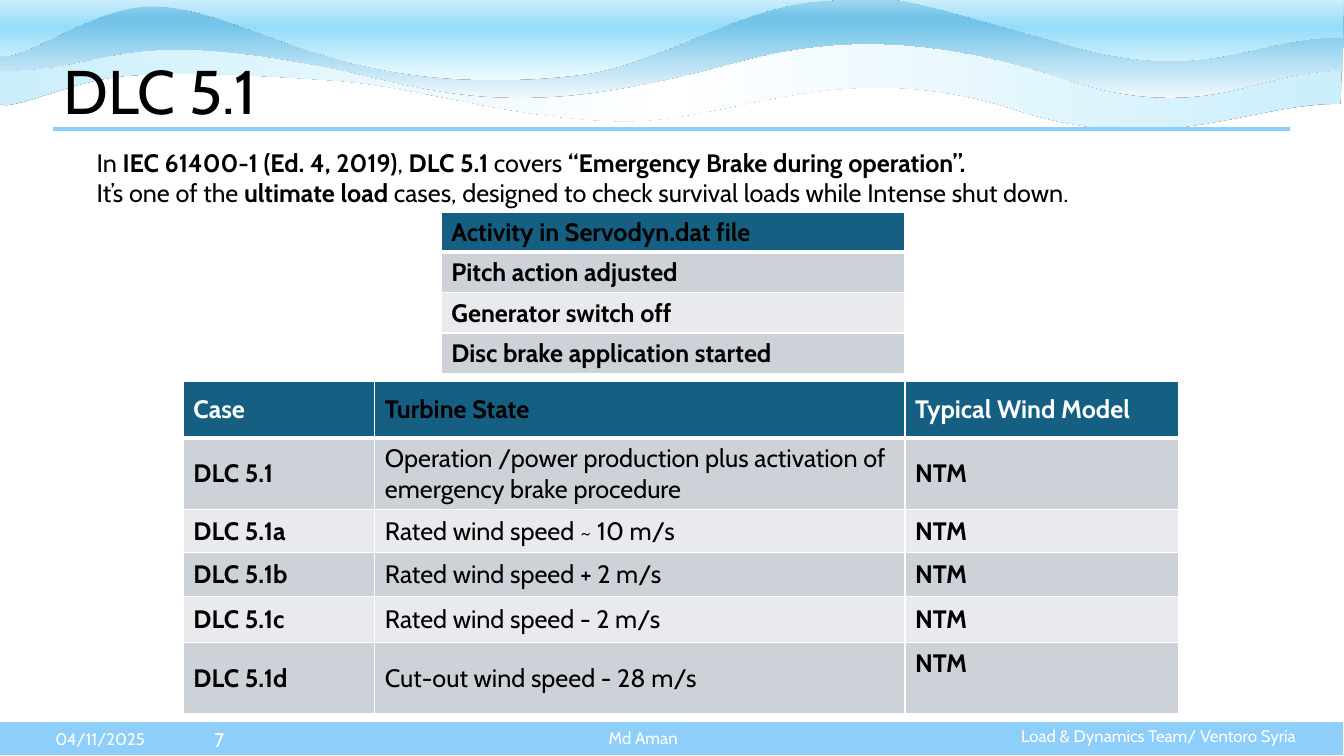
"""Build the DLC 5.1 emergency brake slide."""
from lxml.etree import SubElement
from pptx import Presentation
from pptx.dml.color import RGBColor
from pptx.enum.shapes import MSO_CONNECTOR as Connector, MSO_SHAPE as Preset
from pptx.enum.text import MSO_ANCHOR as Anchor, PP_ALIGN as Align
from pptx.oxml.ns import qn
from pptx.util import Pt

THEME = {
    "font": "Cabin", "black": "000000", "white": "FFFFFF", "sky": "8ECEFA",
    "header": "156082", "bands": ("CCD2D8", "E8EAED"),
    "title": 44, "body": 18, "number": 14, "footer": 12,
}
TITLE = "DLC 5.1"
INTRO = [
    [("In ", False), ("IEC 61400-1 (Ed. 4, 2019)", True), (", ", False), ("DLC 5.1", True),
     (" covers ", False), ("“Emergency Brake during operation”.", True)],
    [("It’s one of the ", False), ("ultimate load", True),
     (" cases, designed to check survival loads while Intense shut down.", False)],
]
CASES = [
    ("Case", "Turbine State", "Typical Wind Model"),
    ("DLC 5.1", "Operation /power production plus activation of emergency brake procedure", "NTM"),
    ("DLC 5.1a", "Rated wind speed ~ 10 m/s", "NTM"),
    ("DLC 5.1b", "Rated wind speed + 2 m/s", "NTM"),
    ("DLC 5.1c", "Rated wind speed - 2 m/s", "NTM"),
    ("DLC 5.1d", "Cut-out wind speed - 28 m/s", "NTM"),
]
ACTIVITIES = [("Activity in Servodyn.dat file",), ("Pitch action adjusted",),
              ("Generator switch off",), ("Disc brake application started",)]
FOOTER = [
    ("04/11/2025", (32.4, 517, 79, 22), "footer", Align.LEFT),
    ("7", (144.7, 516, 22.5, 24), "number", Align.RIGHT),
    ("Load & Dynamics Team/ Ventoro Syria", (722.3, 515, 220, 22), "footer", Align.LEFT),
    ("Md Aman", (427.7, 516, 106, 22), "footer", Align.LEFT),
]
WAVES = [
    {"box": (-2.9, 21.6, 961.9, 70.6), "start": (957.6, 74.2), "angle": 0,
     "curves": [(890.6, 73.4, 829.4, 114.5, 719.3, 76.3), (595.4, 38.9, 519.1, 89.3, 439.2, 86.4),
                (359.3, 83.5, 303.1, 62.6, 241.2, 57.6), (179.3, 53.3, 131.8, 51.1, 91.4, 54),
                (51.1, 56.9, 10.1, 79.9, -1.4, 74.2), (-1.4, 57.6, -2.9, 38.2, -2.9, 21.6)],
     "corners": [(225.4, 22.3), (469.4, 24.5), (677.5, 23), (959, 24.5)],
     "stops": [(0, "CAEEFB"), (50, "FFFFFF"), (100, "CAEEFB")]},
    {"box": (0, -0.7, 960, 70.6), "start": (959, 50.4), "angle": 90,
     "curves": [(892.1, 50.4, 861.1, 92.2, 751.7, 53.3), (627.1, 14.4, 556.6, 36, 508.3, 49),
                (380.2, 82.1, 330.5, 70.6, 249.1, 51.1), (81.4, 15.8, 82.8, 50.4, 0, 50.4),
                (0, 33.8, 0.7, 17.3, 0.7, 0)],
     "corners": [(225.4, 0.7), (470.9, -0.7), (681.1, 0), (959.8, 2.9)],
     "stops": [(0, "F0F8FD"), (74, "74C4E9"), (83, "74C4E9"), (100, "A2D8F0")]},
    {"box": (-2.2, -18.7, 961.9, 76.3), "start": (959, 26.6), "angle": 90,
     "curves": [(892.1, 25.9, 861.1, 63.4, 751.7, 28.8), (627.8, -5.8, 641.5, -3.6, 585.4, 0.7),
                (529.2, 4.3, 470.2, 46.1, 414.7, 53.3), (358.6, 60.5, 305.3, 58.3, 249.8, 44.6),
                (185.8, 27.4, 149, 4.3, 108, 4.3), (66.2, 4.3, 15.8, 45.4, -2.2, 39.6),
                (-1.4, 24.5, 0.7, -2.9, 0.7, -18)],
     "corners": [(225.4, -17.3), (470.9, -18.7), (681.1, -18), (959.8, -15.8)],
     "stops": [(0, "EFFCFF"), (50, "96DCF8"), (100, "FFFFFF")]},
]


def color(name):
    return RGBColor.from_string(THEME.get(name, name))


def points(values):
    return [Pt(value) for value in values]


def add_run(paragraph, text, size, tint, bold=False):
    run = paragraph.add_run()
    run.text = text
    for name, value in {"name": THEME["font"], "size": Pt(THEME[size]), "bold": bold}.items():
        setattr(run.font, name, value)
    run.font.color.rgb = color(tint)


def draw_outline(shape, wave):
    outline = shape._element.spPr.find(".//" + qn("a:path"))
    for child in list(outline):
        outline.remove(child)
    right, bottom = shape.left + shape.width, shape.top + shape.height

    def add_step(tag, values):
        step = SubElement(outline, qn(tag))
        for x, y in zip(values[::2], values[1::2]):
            SubElement(step, qn("a:pt"), x=str(right - Pt(x)), y=str(bottom - Pt(y)))

    add_step("a:moveTo", wave["start"])
    for curve in wave["curves"]:
        add_step("a:cubicBezTo", curve)
    for corner in wave["corners"]:
        add_step("a:lnTo", corner)
    add_step("a:cubicBezTo", wave["corners"][-1] + wave["start"] * 2)
    SubElement(outline, qn("a:close"))


def add_wave(slide, wave):
    left, top, width, height = points(wave["box"])
    builder = slide.shapes.build_freeform(left, top, scale=1.0)
    builder.add_line_segments([(left + width, top), (left + width, top + height)], close=True)
    shape = builder.convert_to_shape()
    draw_outline(shape, wave)
    shape.rotation = 180
    shape.line.fill.background()
    shape.fill.gradient()
    gradient = shape._element.spPr.find(qn("a:gradFill"))
    for child in list(gradient):
        gradient.remove(child)
    stop_list = SubElement(gradient, qn("a:gsLst"))
    for position, tint in wave["stops"]:
        stop = SubElement(stop_list, qn("a:gs"), pos=str(position * 1000))
        SubElement(stop, qn("a:srgbClr"), val=tint)
    SubElement(gradient, qn("a:lin"), ang=str(wave["angle"] * 60000), scaled="0")
    shape.shadow.inherit = False
    effects = shape._element.spPr.find(qn("a:effectLst"))
    shadow = SubElement(effects, qn("a:outerShdw"), blurRad="0", dist="0", dir="0")
    SubElement(shadow, qn("a:srgbClr"), val=THEME["black"])


def add_text(slide, box, anchor=Anchor.TOP):
    frame = slide.shapes.add_textbox(*points(box)).text_frame
    frame.word_wrap = True
    frame.vertical_anchor = anchor
    return frame.paragraphs[0]


def add_borders(cell, widths):
    properties = cell._tc.get_or_add_tcPr()
    for index, (side, width) in enumerate(widths.items()):
        line = properties.makeelement(qn("a:ln" + side), {"w": str(Pt(width))})
        properties.insert(index, line)
        SubElement(SubElement(line, qn("a:solidFill")), qn("a:srgbClr"), val=THEME["white"])


def add_grid(slide, rows, corner, widths, heights, header_tints, bold_columns):
    size = (sum(widths), sum(heights))
    table = slide.shapes.add_table(len(rows), len(widths), *points((*corner, *size))).table
    for column, width in zip(table.columns, widths):
        column.width = Pt(width)
    for r, (texts, height) in enumerate(zip(rows, heights)):
        table.rows[r].height = Pt(height)
        for c, text in enumerate(texts):
            cell = table.cell(r, c)
            cell.vertical_anchor = Anchor.MIDDLE
            cell.fill.solid()
            cell.fill.fore_color.rgb = color(THEME["bands"][(r - 1) % 2] if r else "header")
            add_borders(cell, {"L": 1, "R": 1, "T": 3 if r == 1 else 1, "B": 1 if r else 3})
            tint = "black" if r else header_tints[c]
            add_run(cell.text_frame.paragraphs[0], text, "body", tint, not r or c in bold_columns)
    return table


def add_title(slide):
    title = slide.shapes.title
    slide.shapes._spTree.append(title._element)
    box = zip(("left", "top", "width", "height"), points((38.2, 39.6, 856, 56.2)))
    for name, value in box:
        setattr(title, name, value)
    title.text_frame.vertical_anchor = Anchor.MIDDLE
    paragraph = title.text_frame.paragraphs[0]
    for name, value in {"alignment": Align.LEFT, "line_spacing": 0.9}.items():
        setattr(paragraph, name, value)
    add_run(paragraph, TITLE, "title", "black")


def main():
    presentation = Presentation()
    presentation.slide_width, presentation.slide_height = points((960, 540))
    slide = presentation.slides.add_slide(presentation.slide_layouts[5])

    for wave in WAVES:
        add_wave(slide, wave)
    bar = slide.shapes.add_shape(Preset.RECTANGLE, *points((-0.7, 515, 961, 25)))
    bar.shadow.inherit = False
    bar.fill.solid()
    bar.fill.fore_color.rgb = color("sky")
    bar.line.color.rgb = color("white")
    bar.line.width = Pt(1.5)
    add_title(slide)
    rule = slide.shapes.add_connector(Connector.STRAIGHT, *points((38, 92, 921.6, 92)))
    rule.line.color.rgb = color("sky")
    rule.line.width = Pt(3)
    SubElement(rule._element.spPr, qn("a:effectLst"))

    for text, box, size, alignment in FOOTER:
        paragraph = add_text(slide, box, Anchor.MIDDLE if size == "number" else Anchor.TOP)
        paragraph.alignment = alignment
        add_run(paragraph, text, size, "white")

    intro = add_text(slide, (61.9, 101.5, 833, 51))
    for number, line in enumerate(INTRO):
        if number:
            intro.add_line_break()
        for text, bold in line:
            add_run(intro, text, "body", "black", bold)

    cases = add_grid(slide, CASES, (131, 272.1), (136.8, 378.6, 195.2),
                     (41, 50.8, 31, 31, 33.1, 50.8), ("white", "black", "white"), (0, 2))
    cases.cell(len(CASES) - 1, 2).margin_bottom = Pt(25)
    add_grid(slide, ACTIVITIES, (315.3, 151.4), (331.2,), (28.8,) * 4, ("black",), (0,))
    presentation.save("out.pptx")


if __name__ == "__main__":
    main()
